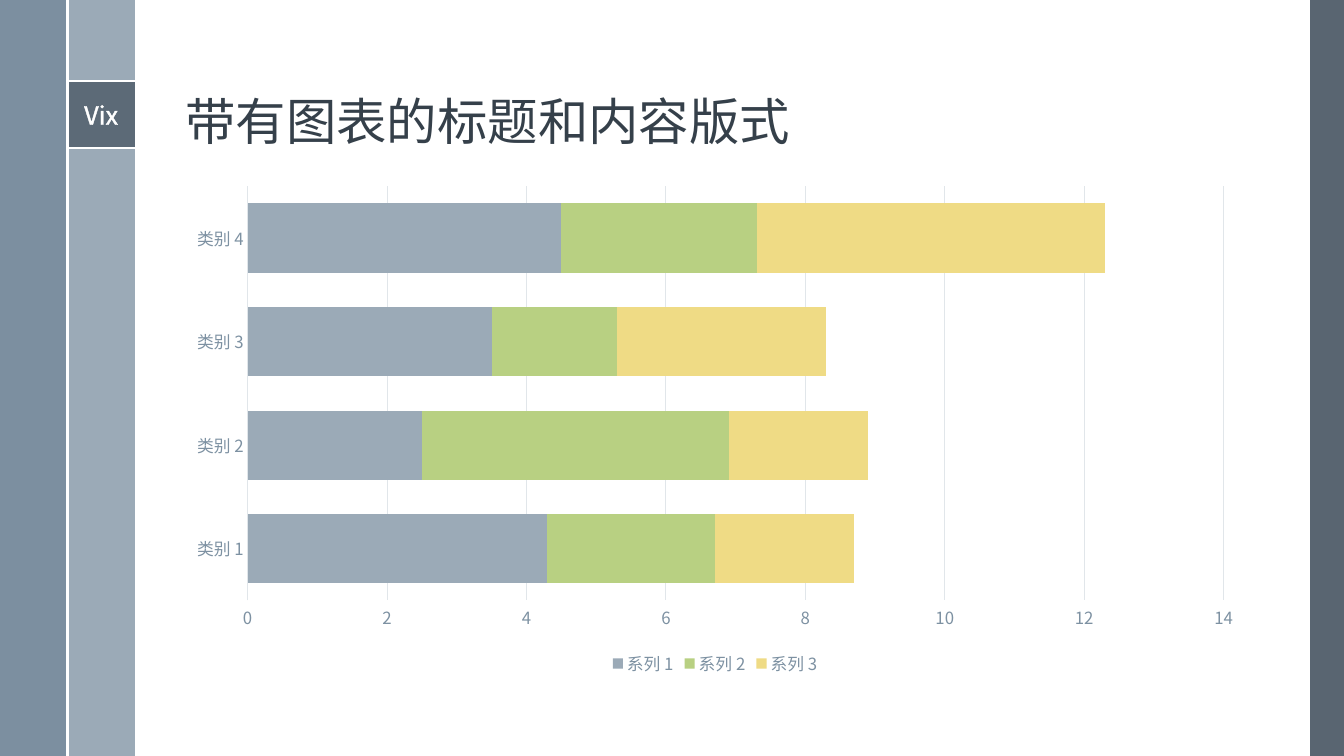
from pptx import Presentation
from pptx.chart.data import CategoryChartData
from pptx.dml.color import RGBColor
from pptx.enum.chart import XL_CHART_TYPE as ChartType, XL_LEGEND_POSITION as LegendPosition
from pptx.enum.chart import XL_TICK_MARK as TickMark
from pptx.enum.shapes import MSO_CONNECTOR as Connector, MSO_SHAPE as Shape
from pptx.enum.text import MSO_ANCHOR as Anchor, PP_ALIGN as Align
from pptx.oxml.ns import qn
from pptx.util import Cm, Pt
from lxml import etree

FONT = "Noto Sans CJK SC"
WHITE = RGBColor(0xFF, 0xFF, 0xFF)
SLATE = RGBColor(0x47, 0x55, 0x62)
STEEL = RGBColor(0x6A, 0x80, 0x93)
MIST = RGBColor(0x9B, 0xAA, 0xB7)
GREEN = RGBColor(0xB8, 0xD0, 0x82)
YELLOW = RGBColor(0xEF, 0xDB, 0x85)
TITLE_INK = RGBColor(0x35, 0x40, 0x4A)
LABEL_INK = RGBColor(0x7D, 0x91, 0xA2)
GRID = RGBColor(0xE1, 0xE6, 0xEA)

WIDTH, HEIGHT = 33.87, 19.05
BAND = 1.7
BADGE_TOP = 2.04
CONTENT_LEFT, CONTENT_WIDTH = 4.42, 27.2


def add_band(left, top, width, height, color, opacity):
    """Add a borderless rectangle; opacity is in percent."""
    band = slide.shapes.add_shape(Shape.RECTANGLE, Cm(left), Cm(top), Cm(width), Cm(height))
    band.shadow.inherit = False
    band.line.fill.background()
    band.fill.solid()
    band.fill.fore_color.rgb = color
    if opacity < 100:
        tint = band.fill._xPr.find(qn("a:solidFill"))[0]
        etree.SubElement(tint, qn("a:alpha"), val=str(opacity * 1000))
    return band


def style_font(font, size, color):
    font.name = FONT
    font.size = Pt(size)
    font.color.rgb = color


prs = Presentation()
prs.slide_width, prs.slide_height = Cm(WIDTH), Cm(HEIGHT)
slide = prs.slides.add_slide(prs.slide_layouts[6])

# Side bands and badge
add_band(WIDTH - BAND / 2, 0, BAND / 2, HEIGHT, SLATE, 90)
add_band(BAND, 0, BAND, HEIGHT, MIST, 100)
add_band(0, 0, BAND, HEIGHT, STEEL, 88)
badge = add_band(BAND, BADGE_TOP, BAND, BAND, SLATE, 75)

badge_frame = badge.text_frame
badge_frame.text = "Vix"
badge_frame.word_wrap = False
badge_frame.margin_left = badge_frame.margin_right = 0
badge_frame.vertical_anchor = Anchor.MIDDLE
badge_label = badge_frame.paragraphs[0]
badge_label.alignment = Align.CENTER
style_font(badge_label.runs[0].font, 18, WHITE)
outline = etree.Element(qn("a:ln"), w=str(Pt(1.45)))
outline_fill = etree.SubElement(outline, qn("a:solidFill"))
etree.SubElement(outline_fill, qn("a:srgbClr"), val=str(WHITE))
badge_label.runs[0].font._rPr.insert(0, outline)

# White separators
for x1, y1, x2, y2 in [
    (BAND, BADGE_TOP, 2 * BAND, BADGE_TOP),
    (BAND, BADGE_TOP + BAND, 2 * BAND, BADGE_TOP + BAND),
    (BAND, 0, BAND, HEIGHT),
]:
    separator = slide.shapes.add_connector(Connector.STRAIGHT, Cm(x1), Cm(y1), Cm(x2), Cm(y2))
    separator.line.color.rgb = WHITE
    separator.line.width = Pt(1.5)
    etree.SubElement(separator._element.spPr, qn("a:effectLst"))

# Title
title = slide.shapes.add_textbox(Cm(CONTENT_LEFT), Cm(0.48), Cm(CONTENT_WIDTH), Cm(3.45))
title_frame = title.text_frame
title_frame.word_wrap = True
title_frame.vertical_anchor = Anchor.BOTTOM
title_frame.text = "带有图表的标题和内容版式"
title_frame.paragraphs[0].line_spacing = 0.9
style_font(title_frame.paragraphs[0].runs[0].font, 36, TITLE_INK)

# Stacked bar chart
series_rows = [
    ("系列 1", MIST, (4.3, 2.5, 3.5, 4.5)),
    ("系列 2", GREEN, (2.4, 4.4, 1.8, 2.8)),
    ("系列 3", YELLOW, (2, 2, 3, 5)),
]
chart_data = CategoryChartData()
chart_data.categories = [f"类别 {number}" for number in range(1, 5)]
for name, _, values in series_rows:
    chart_data.add_series(name, values)

chart = slide.shapes.add_chart(
    ChartType.BAR_STACKED, Cm(CONTENT_LEFT), Cm(4.44), Cm(CONTENT_WIDTH), Cm(12.7), chart_data
).chart
chart.has_title = False
style_font(chart.font, 10, SLATE)
chart.has_legend = True
chart.legend.position = LegendPosition.BOTTOM
chart.legend.include_in_layout = False
style_font(chart.legend.font, 12, LABEL_INK)

bars = chart.plots[0]
bars.gap_width = 50
bars.overlap = 100
bars.vary_by_categories = False
for series, (_, color, _) in zip(bars.series, series_rows):
    series.format.fill.solid()
    series.format.fill.fore_color.rgb = color

for axis in (chart.category_axis, chart.value_axis):
    axis.major_tick_mark = axis.minor_tick_mark = TickMark.NONE
    style_font(axis.tick_labels.font, 12, LABEL_INK)
chart.value_axis.format.line.fill.background()
chart.value_axis.has_major_gridlines = True
for rule in (chart.category_axis.format.line, chart.value_axis.major_gridlines.format.line):
    rule.color.rgb = GRID
    rule.width = Pt(0.75)

# East Asian glyphs use the same font
for root in (slide._element, chart._chartSpace):
    for latin in list(root.iter(qn("a:latin"))):
        latin.addnext(etree.Element(qn("a:ea"), typeface=FONT))

prs.save("out.pptx")
